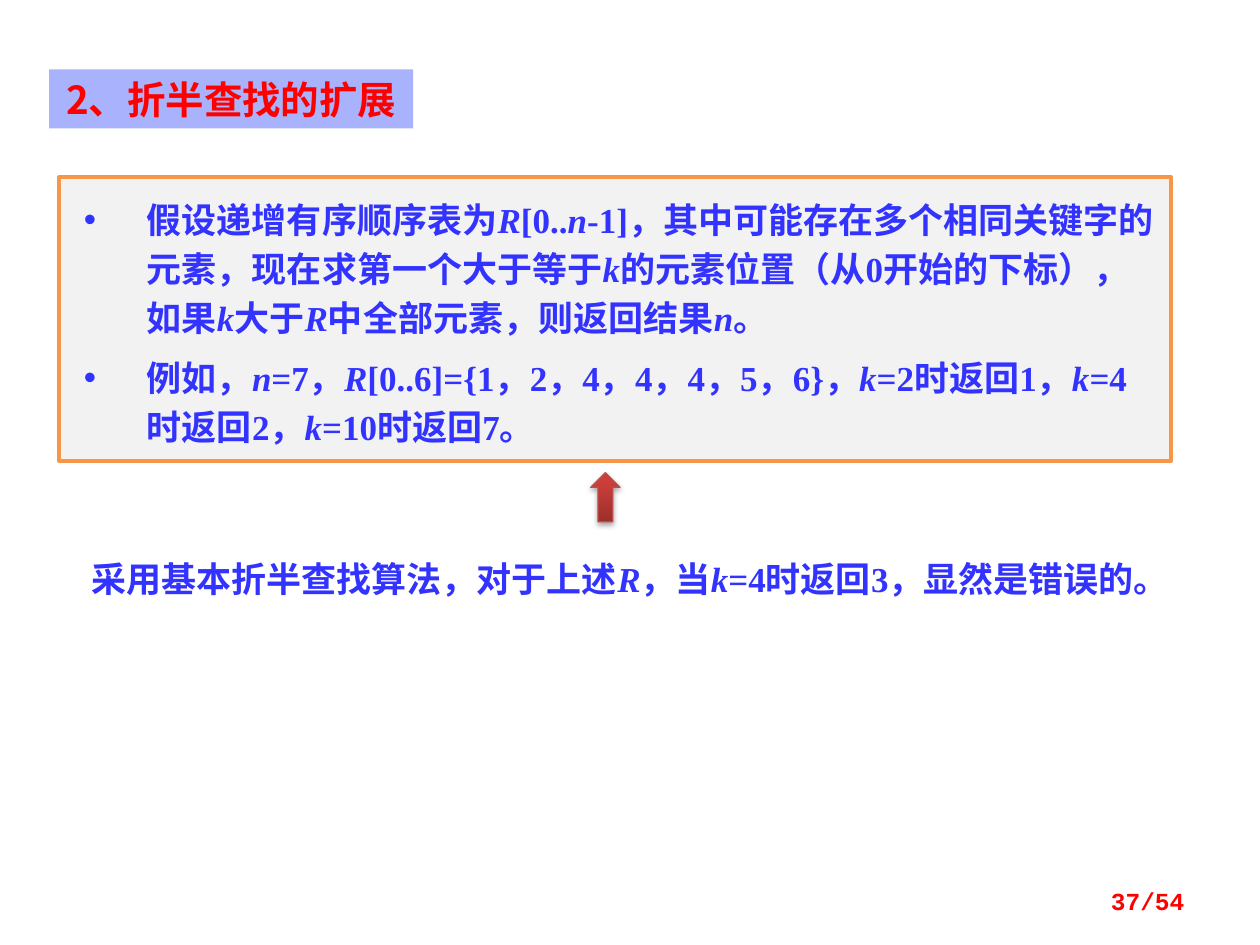
from lxml import etree
from pptx import Presentation
from pptx.dml.color import RGBColor
from pptx.enum.shapes import MSO_SHAPE
from pptx.enum.text import MSO_ANCHOR, PP_ALIGN
from pptx.oxml import parse_xml
from pptx.oxml.ns import nsdecls, qn
from pptx.util import Cm, Pt


def color(value):
    return RGBColor.from_string(value)


def write(paragraph, text, font_color, **formats):
    for index, part in enumerate(text.split("*")):
        run = paragraph.add_run()
        run.text = part
        for name, value in formats.items():
            setattr(run.font, name, value)
        run.font.italic = index % 2 == 1
        run.font.color.rgb = color(font_color)
        east_asian = etree.SubElement(run.font._element, qn("a:ea"))
        east_asian.set("typeface", "Noto Sans CJK SC")


presentation = Presentation()
presentation.slide_width = Cm(25.4)
presentation.slide_height = Cm(19.05)
slide = presentation.slides.add_slide(presentation.slide_layouts[5])
body_format = {"name": "Times New Roman", "size": Pt(20), "bold": True}

title = slide.shapes.title
title_place = {"left": Cm(0.99), "top": Cm(1.4), "width": Cm(7.34), "height": Cm(1.19)}
for name, value in title_place.items():
    setattr(title, name, value)
title.fill.solid()
title.fill.fore_color.rgb = color("A9B3FD")
title_format = {
    "word_wrap": True, "vertical_anchor": MSO_ANCHOR.MIDDLE,
    "margin_left": Cm(0.1), "margin_right": Cm(0.1),
}
for name, value in title_format.items():
    setattr(title.text_frame, name, value)
title_paragraph = title.text_frame.paragraphs[0]
title_paragraph.alignment = PP_ALIGN.CENTER
write(title_paragraph, "2、折半查找的扩展", "FF0000",
      name="Noto Sans CJK SC", size=Pt(22), bold=True)

problem = slide.shapes.add_shape(MSO_SHAPE.RECTANGLE, Cm(1.19), Cm(3.57), Cm(22.42), Cm(5.72))
problem.shadow.inherit = False
problem.fill.solid()
problem.fill.fore_color.rgb = color("F2F2F2")
problem.line.color.rgb = color("F79646")
problem.line.width = Pt(2)
problem_frame = problem.text_frame
frame_format = {
    "word_wrap": True, "vertical_anchor": MSO_ANCHOR.TOP,
    "margin_left": Cm(0.5), "margin_right": Cm(0.25),
    "margin_top": Cm(0.3), "margin_bottom": Cm(0.3),
}
for name, value in frame_format.items():
    setattr(problem_frame, name, value)

problem_texts = [
    "假设递增有序顺序表为*R*[0..*n*-1]，其中可能存在多个相同关键字的元素，"
    "现在求第一个大于等于*k*的元素位置（从0开始的下标），"
    "如果*k*大于*R*中全部元素，则返回结果*n*。",
    "例如，*n*=7，*R*[0..6]={1，2，4，4，4，5，6}，*k*=2时返回1，"
    "*k*=4时返回2，*k*=10时返回7。",
]
for index, text in enumerate(problem_texts):
    paragraph = problem_frame.paragraphs[0] if index == 0 else problem_frame.add_paragraph()
    paragraph.alignment = PP_ALIGN.LEFT
    paragraph.line_spacing = Pt(28)
    paragraph.space_before = Pt(6 if index else 0)
    properties = paragraph._p.get_or_add_pPr()
    properties.set("marL", str(Cm(1.27)))
    properties.set("indent", str(-Cm(1.27)))
    bullet_font = etree.SubElement(properties, qn("a:buFont"))
    bullet_font.set("typeface", "Arial")
    bullet = etree.SubElement(properties, qn("a:buChar"))
    bullet.set("char", "•")
    write(paragraph, text, "3333FF", **body_format)

remark = slide.shapes.add_textbox(Cm(1.59), Cm(11.12), Cm(22.42), Cm(1.12))
remark.text_frame.word_wrap = True
write(remark.text_frame.paragraphs[0],
      "采用基本折半查找算法，对于上述*R*，当*k*=4时返回3，显然是错误的。",
      "3333FF", **body_format)

arrow = slide.shapes.add_shape(MSO_SHAPE.UP_ARROW, Cm(11.91), Cm(9.53), Cm(0.59), Cm(0.99))
arrow.fill.gradient()
arrow.fill.gradient_angle = 90
for stop, (position, value) in zip(arrow.fill.gradient_stops, [(0, "9C2F2D"), (0.8, "CB3E3A")]):
    stop.position = position
    stop.color.rgb = color(value)
arrow.line.color.rgb = color("BF4C48")
arrow.line.width = Pt(0.75)
arrow.shadow.inherit = False
arrow._element.spPr.find(qn("a:effectLst")).append(parse_xml(
    f'<a:outerShdw {nsdecls("a")} blurRad="{Pt(3.1)}" dist="{Pt(1.8)}" dir="5400000" rotWithShape="0">'
    '<a:srgbClr val="000000"><a:alpha val="35000"/></a:srgbClr></a:outerShdw>'))

page_number = slide.shapes.add_textbox(Cm(18.21), Cm(17.65), Cm(5.92), Cm(1.02))
page_number.text_frame.word_wrap = True
page_number.text_frame.vertical_anchor = MSO_ANCHOR.MIDDLE
page_paragraph = page_number.text_frame.paragraphs[0]
page_paragraph.alignment = PP_ALIGN.RIGHT
write(page_paragraph, "37/54", "FF0000", name="Courier New", size=Pt(14), bold=True)

presentation.save("out.pptx")
